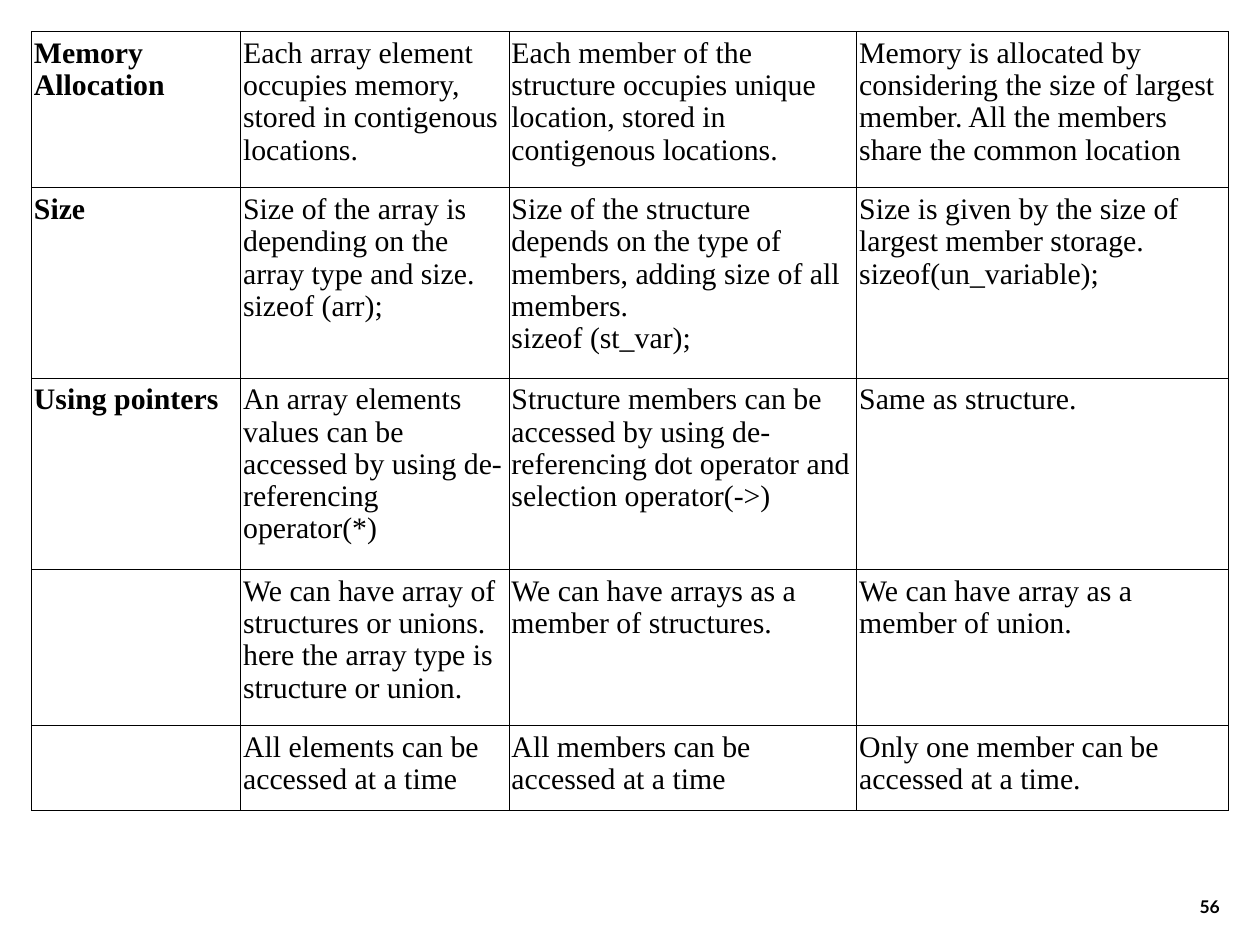
from pptx import Presentation
from pptx.dml.color import RGBColor
from pptx.enum.text import MSO_ANCHOR, PP_ALIGN
from pptx.oxml.ns import qn
from pptx.util import Inches, Pt
from lxml.etree import SubElement

COLORS = {"ink": "000000"}
COLUMN_WIDTHS = [1.66, 2.13, 2.76, 2.95]
ROW_HEIGHTS = [1.24, 1.51, 1.52, 1.24, 0.67]
COMPARISON = [
    [
        ["Memory", "Allocation"],
        ["Each array element occupies memory, stored in contigenous locations."],
        ["Each member of the structure occupies unique location, stored in contigenous locations."],
        ["Memory is allocated by considering the size of largest member. "
         "All the members share the common location"],
    ],
    [
        ["Size"],
        ["Size of the array is depending on the array type and size.", "sizeof (arr);"],
        ["Size of the structure depends on the type of members, adding size of all members.",
         "sizeof (st_var);"],
        ["Size is given by the size of largest member storage.", "sizeof(un_variable);"],
    ],
    [
        ["Using pointers"],
        ["An array elements values can be accessed by using de-referencing operator(*)"],
        ["Structure members can be accessed by using de-referencing dot operator "
         "and selection operator(->)"],
        ["Same as structure."],
    ],
    [
        [],
        ["We can have array of structures or unions. here the array type is structure or union."],
        ["We can have arrays as a member of structures."],
        ["We can have array as a member of union."],
    ],
    [
        [],
        ["All elements can be accessed at a time"],
        ["All members can be accessed at a time"],
        ["Only one member can be accessed at a time."],
    ],
]


def add_run(paragraph, words, font_name, size, bold):
    run = paragraph.add_run()
    run.text = words
    run.font.name = font_name
    run.font.size = Pt(size)
    run.font.bold = bold
    run.font.color.rgb = RGBColor.from_string(COLORS["ink"])


def outline_cell(cell):
    properties = cell._tc.get_or_add_tcPr()
    for side in ("a:lnL", "a:lnR", "a:lnT", "a:lnB"):
        border = SubElement(properties, qn(side), w=str(Pt(0.45)))
        ink = SubElement(border, qn("a:solidFill"))
        SubElement(ink, qn("a:srgbClr"), val=COLORS["ink"])


def fill_cell(cell, lines, bold):
    outline_cell(cell)
    cell.fill.background()
    cell.margin_left = cell.margin_right = Inches(0.02)
    cell.margin_top = cell.margin_bottom = Inches(0.05)
    for index, line in enumerate(lines):
        frame = cell.text_frame
        paragraph = frame.add_paragraph() if index else frame.paragraphs[0]
        paragraph.line_spacing = 0.97
        add_run(paragraph, line, "Times New Roman", 17, bold)


def add_comparison(slide, left, top, width, height):
    comparison = slide.shapes.add_table(
        len(ROW_HEIGHTS), len(COLUMN_WIDTHS), left, top, width, height
    ).table
    comparison.first_row = comparison.horz_banding = False
    for column, share in zip(comparison.columns, COLUMN_WIDTHS):
        column.width = int(width * share / sum(COLUMN_WIDTHS))
    for row, share, texts in zip(comparison.rows, ROW_HEIGHTS, COMPARISON):
        row.height = int(height * share / sum(ROW_HEIGHTS))
        for index, (cell, lines) in enumerate(zip(row.cells, texts)):
            fill_cell(cell, lines, bold=index == 0)


def add_page_number(slide, left, top, width, height):
    frame = slide.shapes.add_textbox(left, top, width, height).text_frame
    frame.word_wrap = True
    frame.vertical_anchor = MSO_ANCHOR.BOTTOM
    number = frame.paragraphs[0]
    number.alignment = PP_ALIGN.RIGHT
    add_run(number, "56", "Lato", 10, True)


def main():
    deck = Presentation()
    deck.slide_width, deck.slide_height = Inches(10), Inches(7.5)
    slide = deck.slides.add_slide(deck.slide_layouts[6])
    add_page_number(slide, Inches(7.7), Inches(6.83), Inches(2.08), Inches(0.5))
    add_comparison(slide, Inches(0.25), Inches(0.25), Inches(9.5), Inches(6.18))
    deck.save("out.pptx")


if __name__ == "__main__":
    main()
